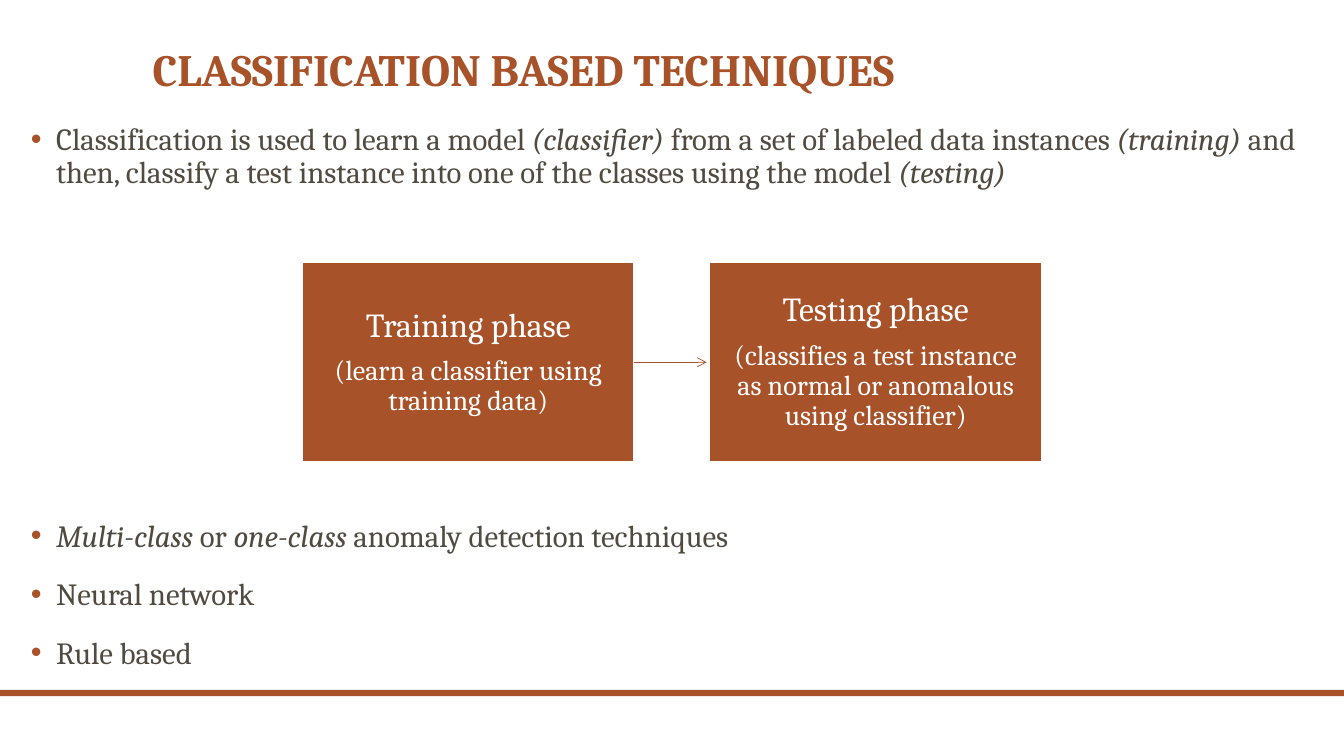
from lxml import etree
from pptx import Presentation
from pptx import util as u
from pptx.dml.color import RGBColor
from pptx.enum import shapes, text
from pptx.oxml import ns

PX = 9525  # EMU per px, 96 px to the inch
SLIDE_W, SLIDE_H = 1280, 720

RUST = RGBColor(0xA8, 0x52, 0x29)
BROWN = RGBColor(0x51, 0x4A, 0x40)
WHITE = RGBColor(0xFF, 0xFF, 0xFF)

TITLE = {"size": u.Pt(32), "bold": True}
BODY = {"size": u.Pt(22)}
PHASE_NAME = {"size": u.Pt(24)}
PHASE_NOTE = {"size": u.Pt(20)}

# Each bullet is a list of (wording, italic) pairs
DEFINITION = [[
    ("Classification is used to learn a model ", False),
    ("(classifier) ", True),
    ("from a set of labeled data instances ", False),
    ("(training)", True),
    (" and then, classify a test instance into one of the classes using the model ", False),
    ("(testing)", True),
]]
TECHNIQUES = [
    [("Multi-class ", True), ("or ", False), ("one-class ", True),
     ("anomaly detection techniques", False)],
    [("Neural network", False)],
    [("Rule based", False)],
]
PHASES = [
    ("Training phase", "(learn a classifier using training data)"),
    ("Testing phase",
     "(classifies a test instance as normal or anomalous using classifier)"),
]


def emu(*lengths):
    return [u.Emu(length * PX) for length in lengths]


def set_all(target, values):
    for name, value in values.items():
        setattr(target, name, value)


def add_run(paragraph, wording, color, style):
    run = paragraph.add_run()
    run.text = wording
    set_all(run.font, {"name": "Cambria", **style})
    run.font.color.rgb = color


def paragraphs(frame, count):
    """Yield the first paragraph of a frame and then new ones."""
    for index in range(count):
        paragraph = frame.add_paragraph() if index else frame.paragraphs[0]
        paragraph.line_spacing = 0.9
        yield paragraph


def add_bullet(paragraph):
    props = paragraph._p.get_or_add_pPr()
    props.set("marL", str(29 * PX))
    props.set("indent", str(-24 * PX))
    bullet_color = etree.SubElement(props, ns.qn("a:buClr"))
    etree.SubElement(bullet_color, ns.qn("a:srgbClr")).set("val", str(RUST))
    etree.SubElement(props, ns.qn("a:buFont")).set("typeface", "Arial")
    etree.SubElement(props, ns.qn("a:buChar")).set("char", "•")


def add_block(slide, color, left, top, width, height):
    block = slide.shapes.add_shape(shapes.MSO_SHAPE.RECTANGLE,
                                   *emu(left, top, width, height))
    block.shadow.inherit = False
    block.fill.solid()
    block.fill.fore_color.rgb = color
    block.line.fill.background()
    return block


def draw_title(slide, left, top, width, height):
    frame = slide.shapes.add_textbox(*emu(left, top, width, height)).text_frame
    set_all(frame, {"word_wrap": True, "vertical_anchor": text.MSO_ANCHOR.BOTTOM})
    for paragraph in paragraphs(frame, 1):
        add_run(paragraph, "CLASSIFICATION BASED TECHNIQUES", RUST, TITLE)


def draw_bullets(slide, bullets, left, top, width, height):
    frame = slide.shapes.add_textbox(*emu(left, top, width, height)).text_frame
    frame.word_wrap = True
    for index, paragraph in enumerate(paragraphs(frame, len(bullets))):
        if index:
            paragraph.space_before = u.Pt(18)
        add_bullet(paragraph)
        for wording, italic in bullets[index]:
            add_run(paragraph, wording, BROWN, {**BODY, "italic": italic})


def draw_phase(slide, name, note, left, top, width, height):
    phase = add_block(slide, RUST, left, top, width, height)
    phase.line.color.rgb = WHITE
    phase.line.width = u.Pt(1)
    frame = phase.text_frame
    inset = u.Emu(18 * PX)
    set_all(frame, {"word_wrap": True, "vertical_anchor": text.MSO_ANCHOR.MIDDLE,
                    "margin_left": inset, "margin_right": inset,
                    "margin_top": inset, "margin_bottom": inset})
    heading, detail = paragraphs(frame, 2)
    heading.alignment = detail.alignment = text.PP_ALIGN.CENTER
    heading.space_after = u.Pt(8.4)
    add_run(heading, name, WHITE, PHASE_NAME)
    add_run(detail, note, WHITE, PHASE_NOTE)
    return phase


def draw_flow(slide, left, top, width, height):
    gap = 72
    phase_w = (width - gap) // 2
    training, _ = [
        draw_phase(slide, name, note, left + index * (phase_w + gap), top, phase_w, height)
        for index, (name, note) in enumerate(PHASES)
    ]
    # The arrow stops just short of the testing phase
    middle = top + height // 2
    arrow = slide.shapes.add_connector(
        shapes.MSO_CONNECTOR.STRAIGHT,
        *emu(left + phase_w, middle, left + phase_w + gap - 3, middle))
    arrow.begin_connect(training, 3)
    arrow.line.color.rgb = RUST
    arrow.line.width = u.Pt(0.5)
    etree.SubElement(arrow.line._get_or_add_ln(), ns.qn("a:tailEnd")).set("type", "arrow")
    etree.SubElement(arrow._element.spPr, ns.qn("a:effectLst"))


def main():
    deck = Presentation()
    deck.slide_width, deck.slide_height = emu(SLIDE_W, SLIDE_H)
    slide = deck.slides.add_slide(deck.slide_layouts[6])

    # Footer rule
    add_block(slide, RUST, 0, 657, SLIDE_W, 6)
    # Heading and definition
    draw_title(slide, 136, 40, 1008, 56)
    draw_bullets(slide, DEFINITION, 15, 113, 1250, 80)
    # Training and testing phases
    draw_flow(slide, 288, 250, 704, 190)
    # Kinds of technique
    draw_bullets(slide, TECHNIQUES, 15, 491, 1250, 146)

    deck.save("out.pptx")


if __name__ == "__main__":
    main()
